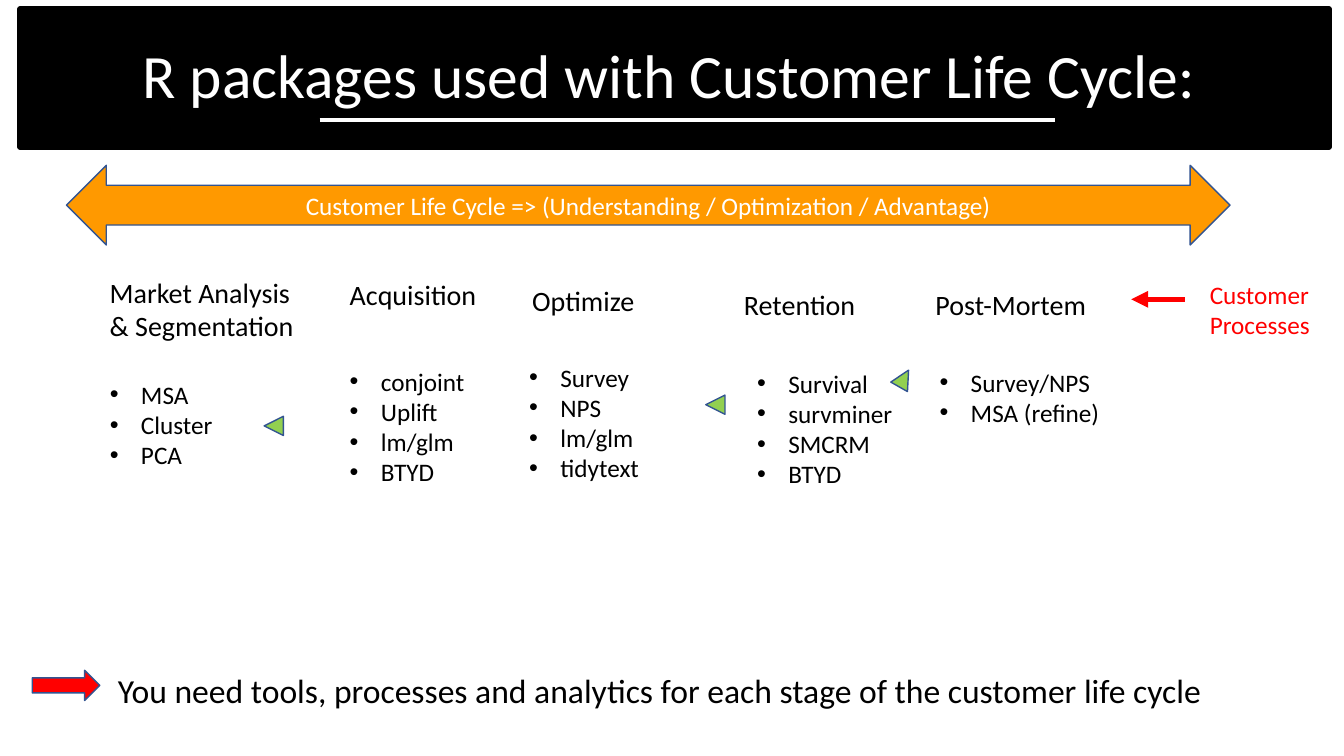
from dataclasses import dataclass

from pptx import Presentation
from pptx import util as u
from pptx.dml.color import RGBColor
from pptx.enum import shapes, text
from pptx.oxml.ns import qn
from lxml import etree


@dataclass(frozen=True)
class Theme:
    font: str = "Calibri"
    black: str = "000000"
    white: str = "FFFFFF"
    orange: str = "FF9900"
    red: str = "FF0000"
    green: str = "92D050"
    outline: str = "325491"
    title_size: int = 44
    takeaway_size: int = 24
    heading_size: int = 20
    body_size: int = 18


THEME = Theme()

# Each stage: heading, heading box, packages, package list box
STAGES = [
    (["Market Analysis", "& Segmentation"], (0.99, 2.68, 2.14, 0.77),
     ["MSA", "Cluster", "PCA"], (0.99, 3.71, 1.45, 1.31)),
    (["Acquisition"], (3.37, 2.7, 1.47, 0.44),
     ["conjoint", "Uplift", "lm/glm", "BTYD"], (3.37, 3.58, 2.27, 1.92)),
    (["Optimize"], (5.18, 2.76, 1.65, 0.44),
     ["Survey", "NPS", "lm/glm", "tidytext"], (5.15, 3.54, 1.82, 1.92)),
    (["Retention"], (7.28, 2.8, 1.4, 0.44),
     ["Survival", "survminer", "SMCRM", "BTYD"], (7.41, 3.6, 1.69, 1.62)),
    (["Post-Mortem"], (9.18, 2.8, 1.8, 0.44),
     ["Survey/NPS", "MSA (refine)"], (9.22, 3.59, 2.27, 1.31)),
]

# Each marker: left, top, rotation
STAGE_MARKERS = [(2.62, 4.13, 270), (7, 3.92, 270), (8.87, 3.66, 29.6)]


def inches(box):
    return [u.Inches(value) for value in box]


def write_lines(frame, lines, size, color, align=text.PP_ALIGN.LEFT):
    frame.word_wrap = True
    frame.text = "\n".join(lines)
    for paragraph in frame.paragraphs:
        paragraph.alignment = align
        for run in paragraph.runs:
            run.font.name = THEME.font
            run.font.size = u.Pt(size)
            run.font.color.rgb = RGBColor.from_string(color)


def add_text(slide, box, lines, size, color=THEME.black, **options):
    frame = slide.shapes.add_textbox(*inches(box)).text_frame
    write_lines(frame, lines, size, color, **options)
    return frame


def add_block(slide, kind, box, fill, line=THEME.outline, width=1):
    shape = slide.shapes.add_shape(kind, *inches(box))
    shape.shadow.inherit = False
    shape.fill.solid()
    shape.fill.fore_color.rgb = RGBColor.from_string(fill)
    shape.line.color.rgb = RGBColor.from_string(line)
    shape.line.width = u.Pt(width)
    return shape


def add_line(slide, start, end, color, width):
    line = slide.shapes.add_connector(
        shapes.MSO_CONNECTOR.STRAIGHT, *inches(start + end))
    line.line.color.rgb = RGBColor.from_string(color)
    line.line.width = u.Pt(width)
    etree.SubElement(line._element.spPr, qn("a:effectLst"))
    return line


def add_bullets(frame):
    """Give every paragraph a round bullet and a hanging indent."""
    indent = u.Inches(0.31)
    for paragraph in frame.paragraphs:
        properties = paragraph._p.get_or_add_pPr()
        properties.set("marL", str(indent))
        properties.set("indent", str(-indent))
        etree.SubElement(properties, qn("a:buFont"), typeface="Arial")
        etree.SubElement(properties, qn("a:buChar"), char="•")


def add_title_band(slide, box):
    left, top, width, height = box
    add_block(slide, shapes.MSO_SHAPE.RECTANGLE, box,
              THEME.black, THEME.black, width=4)
    frame = add_text(slide, (left + 0.69, top + 0.31, 11.5, 0.79),
                     ["R packages used with Customer Life Cycle:"],
                     THEME.title_size, THEME.white, align=text.PP_ALIGN.CENTER)
    frame.paragraphs[0].line_spacing = 0.9
    rule_y = top + 1.1
    add_line(slide, (left + 2.97, rule_y), (left + 10.26, rule_y),
             THEME.white, 2.75)


def add_life_cycle_arrow(slide, box):
    arrow = add_block(slide, shapes.MSO_SHAPE.LEFT_RIGHT_ARROW, box, THEME.orange)
    write_lines(
        arrow.text_frame,
        ["Customer Life Cycle => (Understanding / Optimization / Advantage)"],
        THEME.body_size, THEME.white, align=text.PP_ALIGN.CENTER)
    arrow.text_frame.vertical_anchor = text.MSO_ANCHOR.MIDDLE


def add_stage(slide, heading, heading_box, packages, packages_box):
    add_text(slide, heading_box, heading, THEME.heading_size)
    add_bullets(add_text(slide, packages_box, packages, THEME.body_size))


def add_stage_marker(slide, left, top, rotation):
    marker = add_block(slide, shapes.MSO_SHAPE.ISOSCELES_TRIANGLE,
                       (left, top, 0.19, 0.19), THEME.green)
    marker.rotation = rotation


def add_process_label(slide, box):
    """Place the red label and the arrow that points left from it."""
    left, top, width, height = box
    add_text(slide, box, ["Customer", "Processes"], THEME.body_size, THEME.red)
    arrow_y = top + 0.25
    pointer = add_line(slide, (left - 0.15, arrow_y), (left - 0.68, arrow_y),
                       THEME.red, 4)
    etree.SubElement(pointer.line._get_or_add_ln(), qn("a:tailEnd"),
                     type="triangle")


def add_takeaway(slide, box):
    left, top, width, height = box
    add_block(slide, shapes.MSO_SHAPE.RIGHT_ARROW,
              (left, top + 0.05, 0.67, 0.3), THEME.red)
    add_text(slide, (left + 0.75, top, width - 0.75, height),
             ["You need tools, processes and analytics for each stage "
              "of the customer life cycle"], THEME.takeaway_size)


def main():
    presentation = Presentation()
    presentation.slide_width = u.Inches(13.33)
    presentation.slide_height = u.Inches(7.5)
    slide = presentation.slides.add_slide(presentation.slide_layouts[6])
    add_title_band(slide, (0.2, 0.09, 12.98, 1.37))
    add_life_cycle_arrow(slide, (0.66, 1.64, 11.54, 0.79))
    for stage in STAGES:
        add_stage(slide, *stage)
    for marker in STAGE_MARKERS:
        add_stage_marker(slide, *marker)
    add_process_label(slide, (11.9, 2.72, 1.29, 0.71))
    add_takeaway(slide, (0.32, 6.6, 11.95, 0.5))
    presentation.save("out.pptx")


if __name__ == "__main__":
    main()
